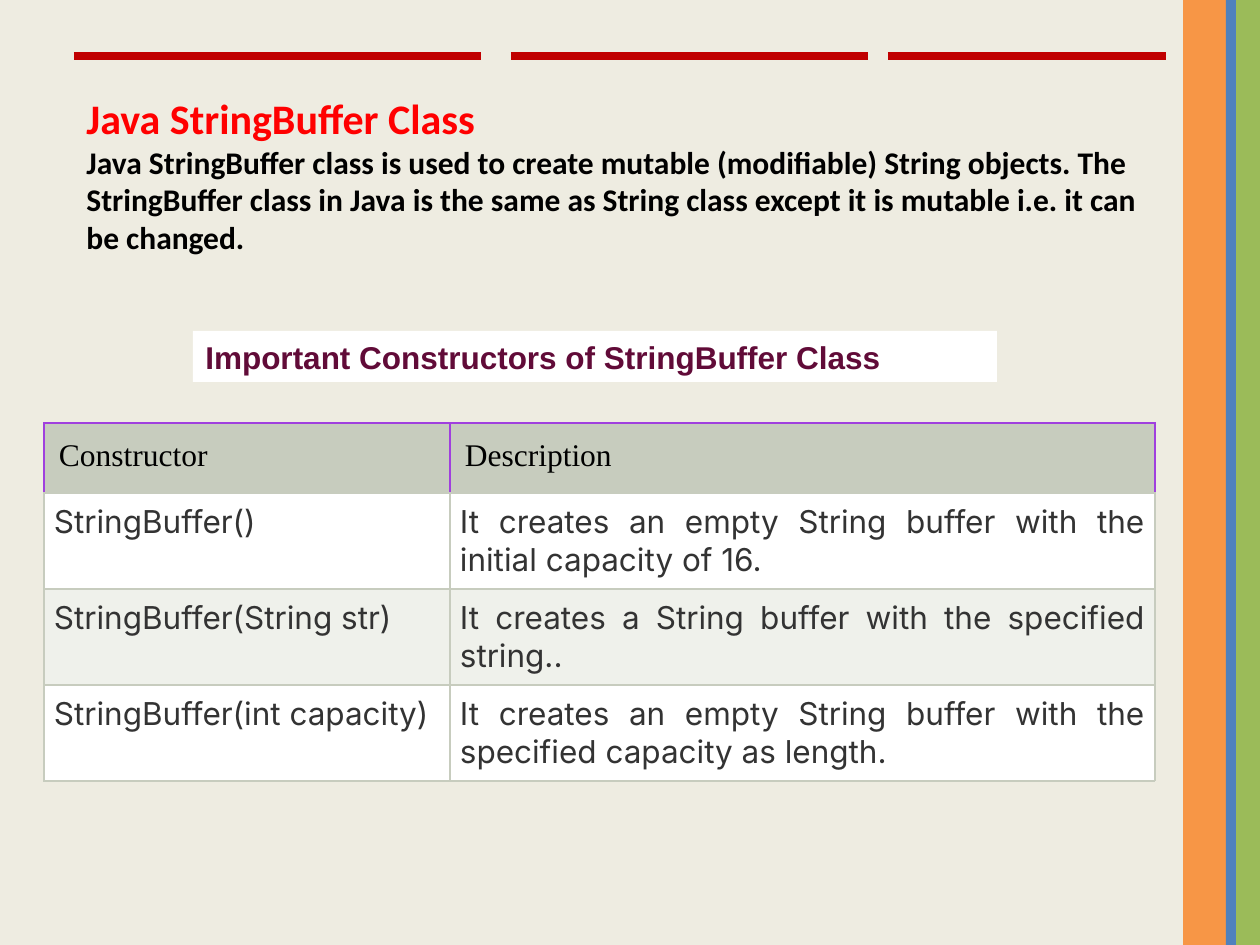
from lxml import etree
from pptx import Presentation
from pptx import util as u
from pptx.dml.color import RGBColor
from pptx.enum import shapes, text
from pptx.oxml import parse_xml
from pptx.oxml.ns import nsdecls, qn

PX = 914400 / 126  # EMU per px

CREAM = RGBColor(0xEE, 0xEC, 0xE1)
ORANGE = RGBColor(0xF7, 0x96, 0x46)
GREEN = RGBColor(0x9B, 0xBB, 0x59)
BLUE = RGBColor(0x4F, 0x81, 0xBD)
DARK_RED = RGBColor(0xC0, 0x00, 0x00)
RED = RGBColor(0xFF, 0x00, 0x00)
BLACK = RGBColor(0x00, 0x00, 0x00)
WHITE = RGBColor(0xFF, 0xFF, 0xFF)
PLUM = RGBColor(0x61, 0x0B, 0x38)
CHARCOAL = RGBColor(0x33, 0x33, 0x33)
SAGE = RGBColor(0xC7, 0xCC, 0xBE)
PALE_SAGE = RGBColor(0xEF, 0xF1, 0xEB)
PURPLE = RGBColor(0xA0, 0x3F, 0xDE)


def emu(*lengths):
    return [u.Emu(round(length * PX)) for length in lengths]


def style(paragraph, font_name, size, color, bold=False):
    for run in paragraph.runs:
        run.font.name = font_name
        run.font.size = u.Pt(size)
        run.font.color.rgb = color
        run.font.bold = bold


prs = Presentation()
prs.slide_width, prs.slide_height = emu(1260, 945)
slide = prs.slides.add_slide(prs.slide_layouts[6])
slide.background.fill.solid()
slide.background.fill.fore_color.rgb = CREAM

# Stripes down the right edge
for left, width, color in [(1183, 44, ORANGE), (1236, 24, GREEN), (1226, 10, BLUE)]:
    stripe = slide.shapes.add_shape(shapes.MSO_SHAPE.RECTANGLE, *emu(left, 0, width, 945))
    stripe.shadow.inherit = False
    stripe.fill.solid()
    stripe.fill.fore_color.rgb = color
    stripe.line.fill.background()

# Broken rule along the top
for start, end in [(74, 481), (511, 868), (888, 1166)]:
    rule = slide.shapes.add_connector(shapes.MSO_CONNECTOR.STRAIGHT, *emu(start, 56, end, 56))
    rule.line.color.rgb = DARK_RED
    rule.line.width = u.Pt(4.5)
    etree.SubElement(rule._element.spPr, qn("a:effectLst"))

# Title and introduction
intro = slide.shapes.add_textbox(*emu(74, 86, 1091, 178)).text_frame
intro.word_wrap = True
intro.text = (
    "Java StringBuffer Class\n"
    "Java StringBuffer class is used to create mutable (modifiable) String objects. "
    "The StringBuffer class in Java is the same as String class except it is mutable "
    "i.e. it can be changed."
)
style(intro.paragraphs[0], "Calibri", 24, RED, bold=True)
style(intro.paragraphs[1], "Calibri", 18, BLACK, bold=True)

# Constructor table
rows = [
    ("Constructor", "Description"),
    ("StringBuffer()", "It creates an empty String buffer with the initial capacity of 16."),
    ("StringBuffer(String str)", "It creates a String buffer with the specified string.."),
    ("StringBuffer(int capacity)",
     "It creates an empty String buffer with the specified capacity as length."),
]
row_heights = emu(70, 96, 96, 96)
table = slide.shapes.add_table(len(rows), 2, *emu(44, 423, 1111, 358)).table
for column, width in zip(table.columns, emu(406, 705)):
    column.width = width

for r, row in enumerate(rows):
    table.rows[r].height = row_heights[r]
    header = r == 0
    for c, words in enumerate(row):
        cell = table.cell(r, c)
        cell.text = words
        inset = emu(15 if header else 10)[0]
        cell.margin_left = cell.margin_right = inset
        cell.margin_top = cell.margin_bottom = inset
        cell.fill.solid()
        paragraph = cell.text_frame.paragraphs[0]
        if header:
            cell.fill.fore_color.rgb = SAGE
            style(paragraph, "Times New Roman", 18, BLACK)
        else:
            cell.fill.fore_color.rgb = WHITE if r % 2 else PALE_SAGE
            paragraph.alignment = text.PP_ALIGN.JUSTIFY
            style(paragraph, "Inter", 18, CHARCOAL)
        for i, side in enumerate("LRTB"):
            color = PURPLE if header and side != "B" else SAGE
            border = parse_xml(
                f'<a:ln{side} {nsdecls("a")} w="9525"><a:solidFill>'
                f'<a:srgbClr val="{color}"/></a:solidFill></a:ln{side}>'
            )
            cell._tc.get_or_add_tcPr().insert(i, border)

# Caption above the table
caption = slide.shapes.add_shape(shapes.MSO_SHAPE.RECTANGLE, *emu(193, 331, 804, 51))
caption.shadow.inherit = False
caption.fill.solid()
caption.fill.fore_color.rgb = WHITE
caption.line.fill.background()
caption.text_frame.word_wrap = True
caption.text_frame.vertical_anchor = text.MSO_ANCHOR.MIDDLE
caption.text_frame.text = "Important Constructors of StringBuffer Class"
caption.text_frame.paragraphs[0].alignment = text.PP_ALIGN.LEFT
style(caption.text_frame.paragraphs[0], "Arial", 18, PLUM, bold=True)

prs.save("out.pptx")
